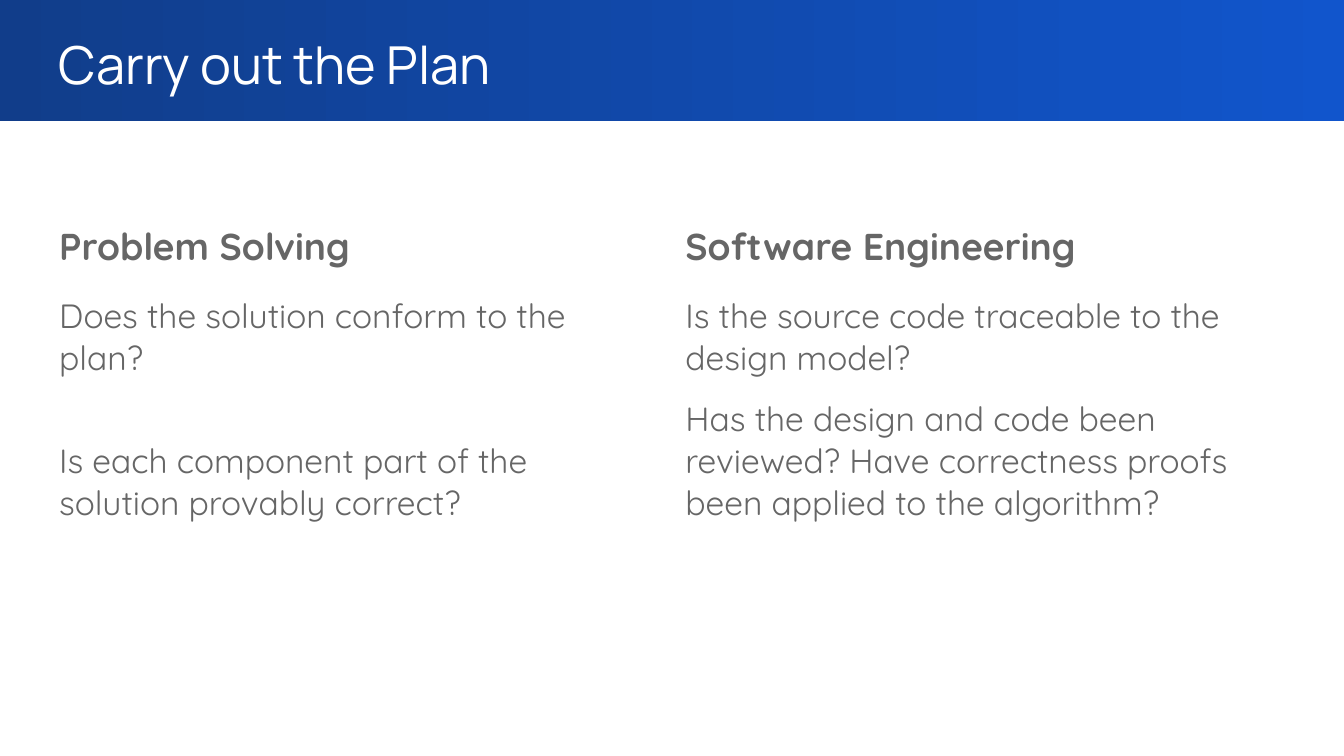
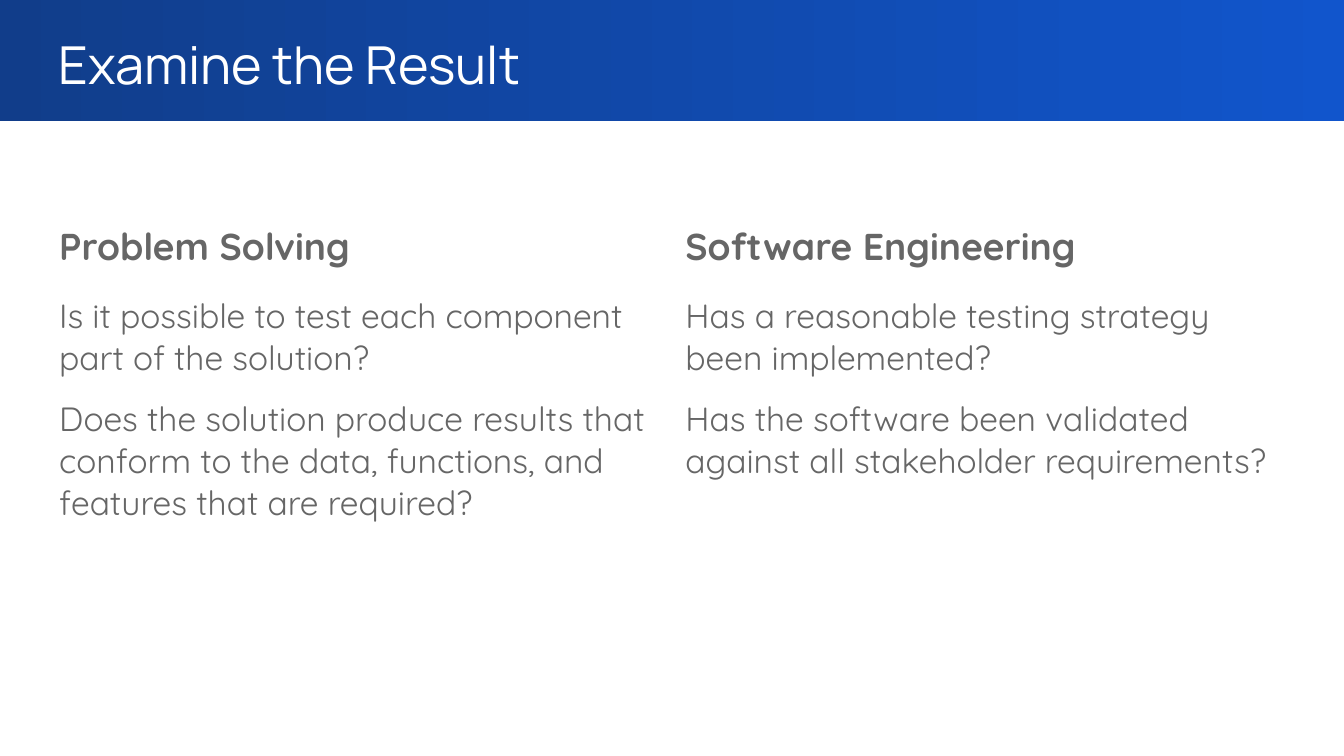
from pptx import Presentation
from pptx.dml.color import RGBColor
from pptx.enum.shapes import MSO_SHAPE
from pptx.enum.text import MSO_ANCHOR
from pptx.util import Inches, Pt

RECT = MSO_SHAPE.RECTANGLE
TOP, MIDDLE = MSO_ANCHOR.TOP, MSO_ANCHOR.MIDDLE
BAND_STOPS = ("1155CC", "113D8A")
TITLE = {"name": "Manrope", "size": Pt(28), "color": "FFFFFF"}
BODY = {"name": "Quicksand", "size": Pt(18), "color": "666666", "bold": False}
HEADING = {**BODY, "size": Pt(20), "bold": True}
HEADINGS = ("Problem Solving", "Software Engineering")
MARGINS = ("margin_left", "margin_top", "margin_bottom")
GAP, WIDE_GAP = 10, 32.5

SLIDES = [
    ("Carry out the Plan", [
        (WIDE_GAP, ["Does the solution conform to the plan?",
                    "Is each component part of the solution provably correct?"]),
        (GAP, ["Is the source code traceable to the design model?",
               "Has the design and code been reviewed? Have correctness proofs "
               "been applied to the algorithm?"]),
    ]),
    ("Examine the Result", [
        (GAP, ["Is it possible to test each component part of the solution?",
               "Does the solution produce results that conform to the data, "
               "functions, and features that are required?"]),
        (GAP, ["Has a reasonable testing strategy been implemented?",
               "Has the software been validated against all stakeholder requirements?"]),
    ]),
]


def rgb(value):
    """Turn a hex string into a colour."""
    return RGBColor.from_string(value)


def write(tf, texts, style, gap=0):
    """Write one paragraph per text, with a gap before all but the first."""
    for i, text in enumerate(texts):
        p = tf.add_paragraph() if i else tf.paragraphs[0]
        if i:
            p.space_before = Pt(gap)
        r = p.add_run()
        r.text = text
        for key, value in style.items():
            if key == "color":
                r.font.color.rgb = rgb(value)
            else:
                setattr(r.font, key, value)


def set_frame(frame, anchor, right=0.1):
    """Give a text frame or cell its insets and anchor."""
    for margin in MARGINS:
        setattr(frame, margin, Inches(0.1))
    frame.margin_right = Inches(right)
    frame.vertical_anchor = anchor


def add_band(s, x, y, w, h):
    """Draw the gradient band behind the title."""
    sp = s.shapes.add_shape(RECT, Inches(x), Inches(y), Inches(w), Inches(h))
    sp.shadow.inherit = False
    sp.line.fill.background()
    sp.fill.gradient()
    sp.fill.gradient_angle = 180
    for stop, color in zip(sp.fill.gradient_stops, BAND_STOPS):
        stop.color.rgb = rgb(color)


def add_title(s, text, x, y, w, h):
    """Place the slide title."""
    tf = s.shapes.add_textbox(Inches(x), Inches(y), Inches(w), Inches(h)).text_frame
    tf.word_wrap = True
    set_frame(tf, MIDDLE)
    write(tf, [text], TITLE)


def add_questions(s, columns, x, y, w, row_heights):
    """Place the table of headings and questions."""
    table = s.shapes.add_table(len(row_heights), len(columns), Inches(x), Inches(y),
                               Inches(w), Inches(sum(row_heights))).table
    for row, height in zip(table.rows, row_heights):
        row.height = Inches(height)
    for cell in table.iter_cells():
        cell.fill.background()
        set_frame(cell, TOP, right=0.13)
    for c, (heading, (gap, questions)) in enumerate(zip(HEADINGS, columns)):
        write(table.cell(0, c).text_frame, [heading], HEADING)
        write(table.cell(1, c).text_frame, questions, BODY, gap)


def add_comparison(prs, title, columns):
    """Build one slide comparing the two fields."""
    s = prs.slides.add_slide(prs.slide_layouts[6])
    add_band(s, 0, 0, 10, 0.9)
    add_title(s, title, 0.34, 0.13, 9.32, 0.68)
    add_questions(s, columns, 0.34, 1.56, 9.32, (0.44, 0.59))


def main():
    """Build and save the deck."""
    prs = Presentation()
    prs.slide_width = Inches(10)
    prs.slide_height = prs.slide_width * 9 // 16
    for title, columns in SLIDES:
        add_comparison(prs, title, columns)
    prs.save("out.pptx")


if __name__ == "__main__":
    main()
